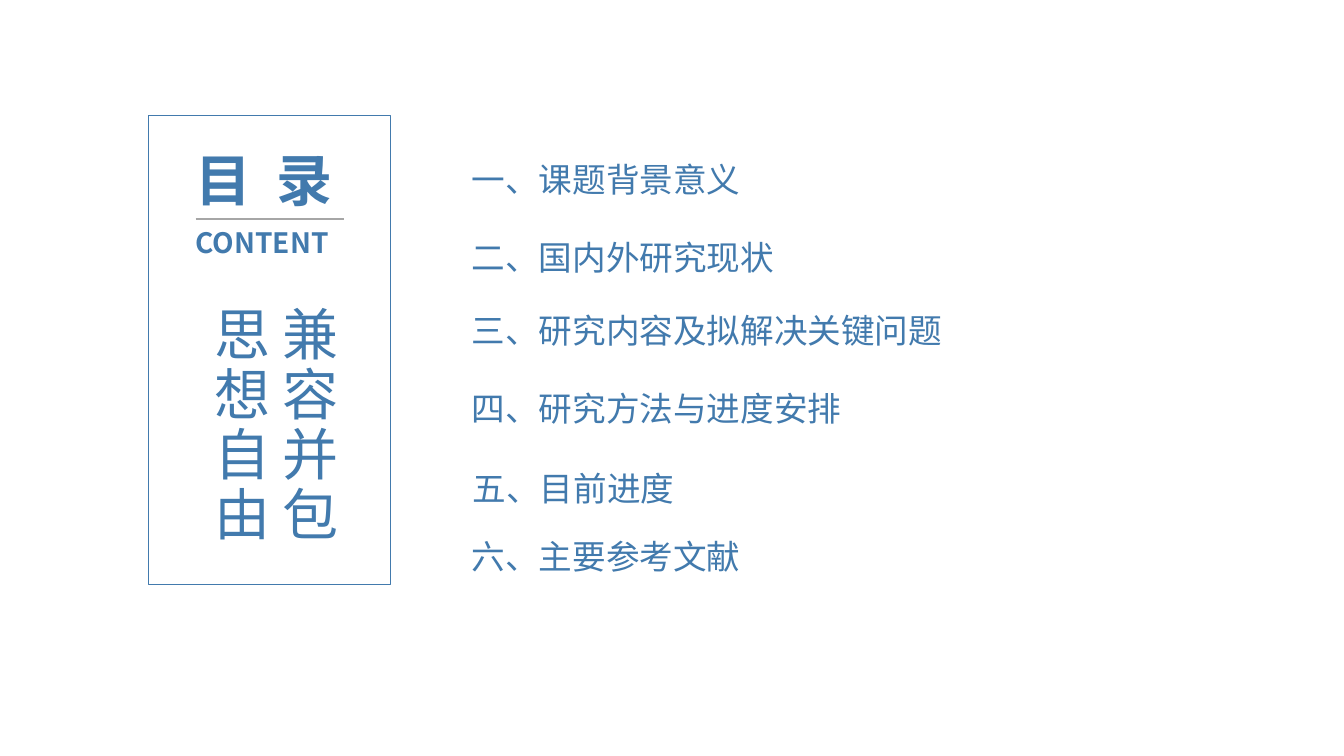
from pptx import Presentation
from pptx.dml.color import RGBColor
from pptx.enum.shapes import MSO_CONNECTOR as Connector, MSO_SHAPE as Shape
from pptx.enum.text import MSO_AUTO_SIZE as AutoSize
from pptx.oxml.ns import qn
from pptx.util import Inches, Pt
from lxml.etree import SubElement

COLORS = {"blue": "427AAD", "gray": "A6A6A6"}
SANS_SC = "Noto Sans CJK SC"
SANS_JP = "Noto Sans CJK JP"

presentation = Presentation()
presentation.slide_width = Inches(13.33)
presentation.slide_height = Inches(7.5)
slide = presentation.slides.add_slide(presentation.slide_layouts[6])


def add_text(text, left, top, width, height, size, bold=False, font=SANS_SC, spacing=0):
    box = slide.shapes.add_textbox(Inches(left), Inches(top), Inches(width), Inches(height))
    frame = box.text_frame
    frame.word_wrap = True
    frame.auto_size = AutoSize.SHAPE_TO_FIT_TEXT
    frame.text = text
    for paragraph in frame.paragraphs:
        for run in paragraph.runs:
            run.font.size = Pt(size)
            run.font.bold = bold
            run.font.name = font
            run.font.color.rgb = RGBColor.from_string(COLORS["blue"])
            properties = run.font._element
            SubElement(properties, qn("a:ea")).set("typeface", font)
            if spacing:
                properties.set("spc", str(int(spacing * 100)))
    return frame


# Frame of the title panel
panel = slide.shapes.add_shape(Shape.RECTANGLE, Inches(1.47), Inches(1.15), Inches(2.4), Inches(4.65))
panel.shadow.inherit = False
panel.fill.background()
panel.line.color.rgb = RGBColor.from_string(COLORS["blue"])
panel.line.width = Pt(0.75)

# Title, divider and subtitle
divider = slide.shapes.add_connector(Connector.STRAIGHT, Inches(1.94), Inches(2.17), Inches(3.41), Inches(2.17))
divider.line.color.rgb = RGBColor.from_string(COLORS["gray"])
divider.line.width = Pt(1.5)
SubElement(divider._element.spPr, qn("a:effectLst"))
add_text("目 录", 1.84, 1.39, 1.81, 0.77, 40, bold=True, spacing=4.5)
add_text("CONTENT", 1.84, 2.19, 1.81, 0.44, 20, bold=True)

# Vertical motto
motto = add_text("兼容并包\n思想自由", 1.9, 2.94, 1.55, 2.94, 40, font=SANS_JP, spacing=3)
motto._txBody.bodyPr.set("vert", "eaVert")
for paragraph in motto.paragraphs:
    paragraph.line_spacing = Pt(48.6)

# Table of contents
chapters = [
    ("一、课题背景意义", 4.58, 1.53, 3.29),
    ("二、国内外研究现状", 4.58, 2.3, 3.96),
    ("三、研究内容及拟解决关键问题", 4.58, 3.03, 6.43),
    ("四、研究方法与进度安排", 4.58, 3.8, 5.08),
    ("五、目前进度", 4.59, 4.59, 5.08),
    ("六、主要参考文献", 4.58, 5.27, 3.29),
]
for text, left, top, width in chapters:
    add_text(text, left, top, width, 0.5, 24)

presentation.save("out.pptx")
